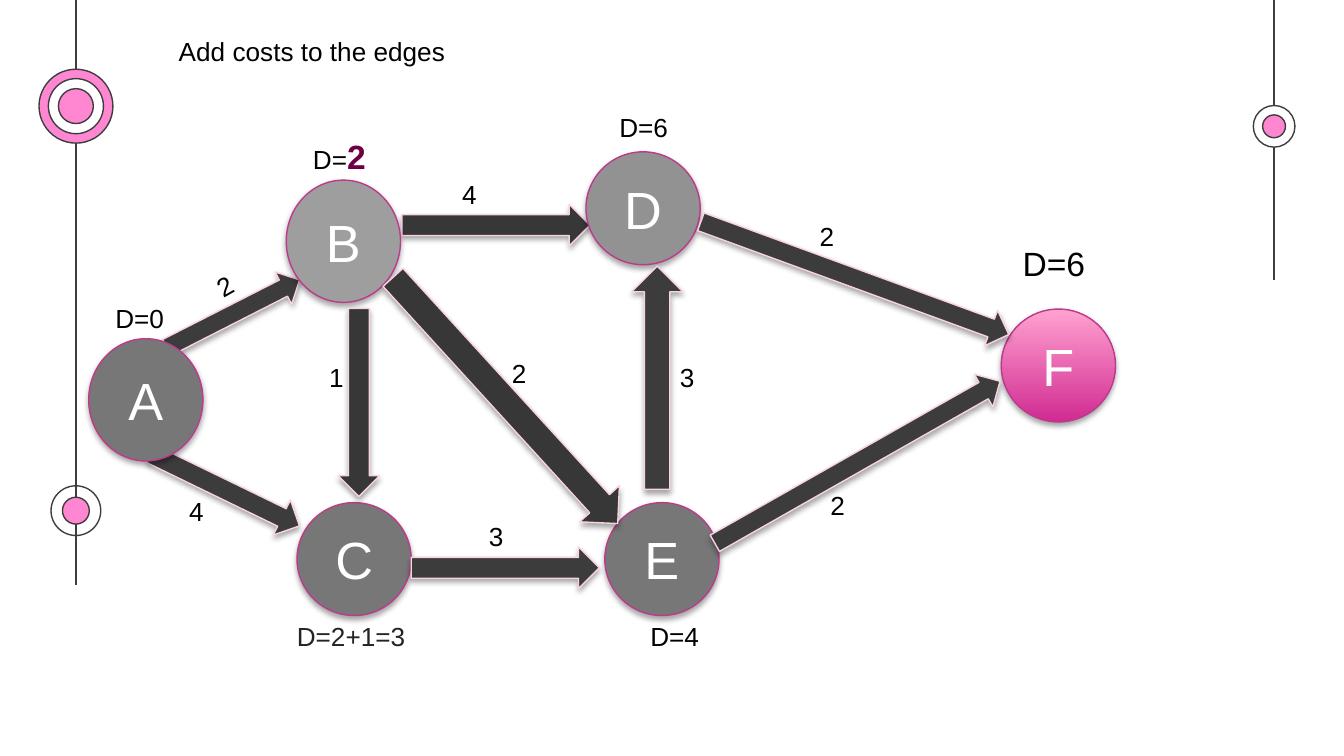
from dataclasses import dataclass

from lxml import etree
from pptx import Presentation
from pptx.dml.color import RGBColor
from pptx.enum.shapes import MSO_CONNECTOR, MSO_SHAPE
from pptx.enum.text import MSO_ANCHOR, MSO_AUTO_SIZE, PP_ALIGN
from pptx.oxml import parse_xml
from pptx.oxml.ns import nsdecls, qn
from pptx.util import Inches, Pt


@dataclass(frozen=True)
class Theme:
    font: str = "Arial"
    body_size: int = 14
    large_size: int = 18
    node_size: int = 28
    text: str = "000000"
    soft_text: str = "242424"
    white: str = "FFFFFF"
    pink: str = "FF87D1"
    rail: str = "3D3D3D"
    arrow: str = "3C3C3C"
    arrow_dark: str = "373737"
    arrow_edge: str = "FAD3E3"
    node_edge: str = "BD3A8B"
    new_cost: str = "6F0045"
    goal_stops: tuple = ("D12B92", "FFA2D0")


@dataclass(frozen=True)
class Box:
    left: float
    top: float
    width: float
    height: float


THEME = Theme()
NODE_WIDTH = 0.85
LABEL_HEIGHT = 0.34

# name: left, top, height, fill (None is the gradient of the goal)
NODES = {
    "A": (0.16, 2.02, 0.91, "777777"),
    "B": (1.63, 0.84, 0.91, "9E9E9E"),
    "C": (1.71, 3.24, 0.84, "777777"),
    "D": (3.86, 0.63, 0.84, "929292"),
    "E": (4.0, 3.24, 0.84, "777777"),
    "F": (6.95, 1.8, 0.84, None),
}

# edge: arrow box, rotation, cost, cost position
EDGES_BELOW_NODES = {
    "AB": (Box(0.68, 1.7, 1.11, 0.27), 333, "2", (1.02, 1.46)),
    "AC": (Box(0.56, 3.0, 1.23, 0.29), 25.9, "4", (0.81, 3.14)),
    "BD": (Box(2.49, 1.02, 1.4, 0.31), 0, "4", (2.84, 0.78)),
}
EDGES_ABOVE_NODES = {
    "CE": (Box(2.56, 3.57, 1.4, 0.31), 0, "3", (3.04, 3.32)),
    "BC": (Box(1.47, 2.34, 1.4, 0.31), 90, "1", (1.85, 2.14)),
    "BE": (Box(2.02, 2.28, 2.48, 0.4), 47.6, "2", (3.21, 2.11)),
    "ED": (Box(3.56, 2.12, 1.66, 0.38), 270, "3", (4.46, 2.14)),
    "DF": (Box(4.64, 1.43, 2.44, 0.28), 20.1, "2", (5.5, 1.09)),
    "EF": (Box(4.66, 2.8, 2.44, 0.28), 330.4, "2", (5.58, 3.09)),
}

# distance runs (text, size, colour, bold), left, top, width
BODY = (THEME.body_size, THEME.text, False)
DISTANCES = [
    ([("D=0", *BODY)], 0.26, 1.7, 0.81),
    ([("D=", *BODY), ("2", THEME.large_size, THEME.new_cost, True)], 1.73, 0.46, 0.81),
    ([("D=2+1=3", THEME.body_size, THEME.soft_text, False)], 1.61, 4.07, 1.05),
    ([("D=6", *BODY)], 4.01, 0.28, 1.04),
    ([("D=4", *BODY)], 4.24, 4.07, 2.15),
    ([("D=6", THEME.large_size, THEME.text, False)], 7.01, 1.26, 0.91),
]


def color(value):
    return RGBColor.from_string(value)


def format_run(run, size, value, bold=False):
    run.font.name = THEME.font
    run.font.size = Pt(size)
    run.font.color.rgb = color(value)
    run.font.bold = bold


def add_shape(slide, kind, box, fill, edge):
    shape = slide.shapes.add_shape(
        kind, Inches(box.left), Inches(box.top), Inches(box.width), Inches(box.height))
    shape.shadow.inherit = False
    if fill:
        shape.fill.solid()
        shape.fill.fore_color.rgb = color(fill)
    else:
        shape.fill.background()
    shape.line.color.rgb = color(edge)
    shape.line.width = Pt(0.75)
    return shape


def add_soft_shadow(shape):
    effects = shape._element.spPr.find(qn("a:effectLst"))
    effects.append(parse_xml(
        f'<a:outerShdw {nsdecls("a")} blurRad="{Pt(3.1)}" dist="{Pt(1.8)}" dir="5400000" '
        'rotWithShape="0"><a:srgbClr val="000000"><a:alpha val="35000"/></a:srgbClr>'
        '</a:outerShdw>'))


def add_label(slide, runs, left, top, width, rotation=0):
    label = slide.shapes.add_textbox(
        Inches(left), Inches(top), Inches(width), Inches(LABEL_HEIGHT))
    label.rotation = rotation
    label.text_frame.word_wrap = True
    label.text_frame.auto_size = MSO_AUTO_SIZE.SHAPE_TO_FIT_TEXT
    paragraph = label.text_frame.paragraphs[0]
    for text, *style in runs:
        run = paragraph.add_run()
        run.text = text
        format_run(run, *style)


def draw_rail(slide, box, rings):
    """Draw a vertical line with rings of (centre y, diameter, fill)."""
    center = box.left + box.width / 2
    line = slide.shapes.add_connector(
        MSO_CONNECTOR.STRAIGHT, Inches(center), Inches(box.top),
        Inches(center), Inches(box.top + box.height))
    line.line.color.rgb = color(THEME.rail)
    line.line.width = Pt(0.75)
    etree.SubElement(line._element.spPr, qn("a:effectLst"))
    for middle, size, fill in rings:
        ring = Box(center - size / 2, box.top + middle - size / 2, size, size)
        add_shape(slide, MSO_SHAPE.OVAL, ring, fill, THEME.rail)


def draw_title(slide, box, text):
    title = slide.shapes.title
    title.left, title.top = Inches(box.left), Inches(box.top)
    title.width, title.height = Inches(box.width), Inches(box.height)
    frame = title.text_frame
    frame.text = text
    frame.word_wrap = False
    frame.auto_size = MSO_AUTO_SIZE.NONE
    frame.vertical_anchor = MSO_ANCHOR.TOP
    frame.paragraphs[0].alignment = PP_ALIGN.LEFT
    format_run(frame.paragraphs[0].runs[0], THEME.body_size, THEME.text)


def draw_node(slide, box, name, fill):
    node = add_shape(slide, MSO_SHAPE.FLOWCHART_CONNECTOR, box, fill, THEME.node_edge)
    if fill is None:
        node.fill.gradient()
        node.fill.gradient_angle = 90
        for stop, value in zip(node.fill.gradient_stops, THEME.goal_stops):
            stop.color.rgb = color(value)
    add_soft_shadow(node)
    node.text_frame.text = name
    node.text_frame.vertical_anchor = MSO_ANCHOR.MIDDLE
    paragraph = node.text_frame.paragraphs[0]
    paragraph.alignment = PP_ALIGN.CENTER
    format_run(paragraph.runs[0], THEME.node_size, THEME.white)


def draw_edges(slide, box, edges):
    for edge, (place, rotation, _, _) in edges.items():
        fill = THEME.arrow_dark if edge.startswith("B") else THEME.arrow
        area = Box(box.left + place.left, box.top + place.top, place.width, place.height)
        arrow = add_shape(slide, MSO_SHAPE.RIGHT_ARROW, area, fill, THEME.arrow_edge)
        arrow.rotation = rotation
        add_soft_shadow(arrow)


def draw_graph(slide, box):
    # Arrows and nodes
    draw_edges(slide, box, EDGES_BELOW_NODES)
    for name, (left, top, height, fill) in NODES.items():
        draw_node(slide, Box(box.left + left, box.top + top, NODE_WIDTH, height), name, fill)
    draw_edges(slide, box, EDGES_ABOVE_NODES)
    # Edge costs: only the first one follows its arrow
    for edge, (_, _, cost, (left, top)) in (EDGES_BELOW_NODES | EDGES_ABOVE_NODES).items():
        width, rotation = (0.31, 330.5) if edge == "AB" else (0.36, 0)
        add_label(slide, [(cost, *BODY)], box.left + left, box.top + top, width, rotation)
    # Distances from the start
    for runs, left, top, width in DISTANCES:
        add_label(slide, runs, box.left + left, box.top + top, width)


def main():
    presentation = Presentation()
    # Widescreen, 16:9
    presentation.slide_width = Inches(10)
    presentation.slide_height = Inches(10) * 9 // 16
    slide = presentation.slides.add_slide(presentation.slide_layouts[5])
    draw_rail(slide, Box(0.28, 0, 0.57, 4.35), [
        (0.79, 0.55, THEME.pink), (0.79, 0.41, THEME.white), (0.79, 0.26, THEME.pink),
        (3.8, 0.37, None), (3.8, 0.2, THEME.pink)])
    draw_rail(slide, Box(9.32, 0, 0.32, 2.08), [
        (0.94, 0.31, THEME.white), (0.94, 0.17, THEME.pink)])
    draw_title(slide, Box(1.23, 0.21, 2.19, LABEL_HEIGHT), "Add costs to the edges")
    draw_graph(slide, Box(0.5, 0.5, 7.92, 4.64))
    presentation.save("out.pptx")


if __name__ == "__main__":
    main()
